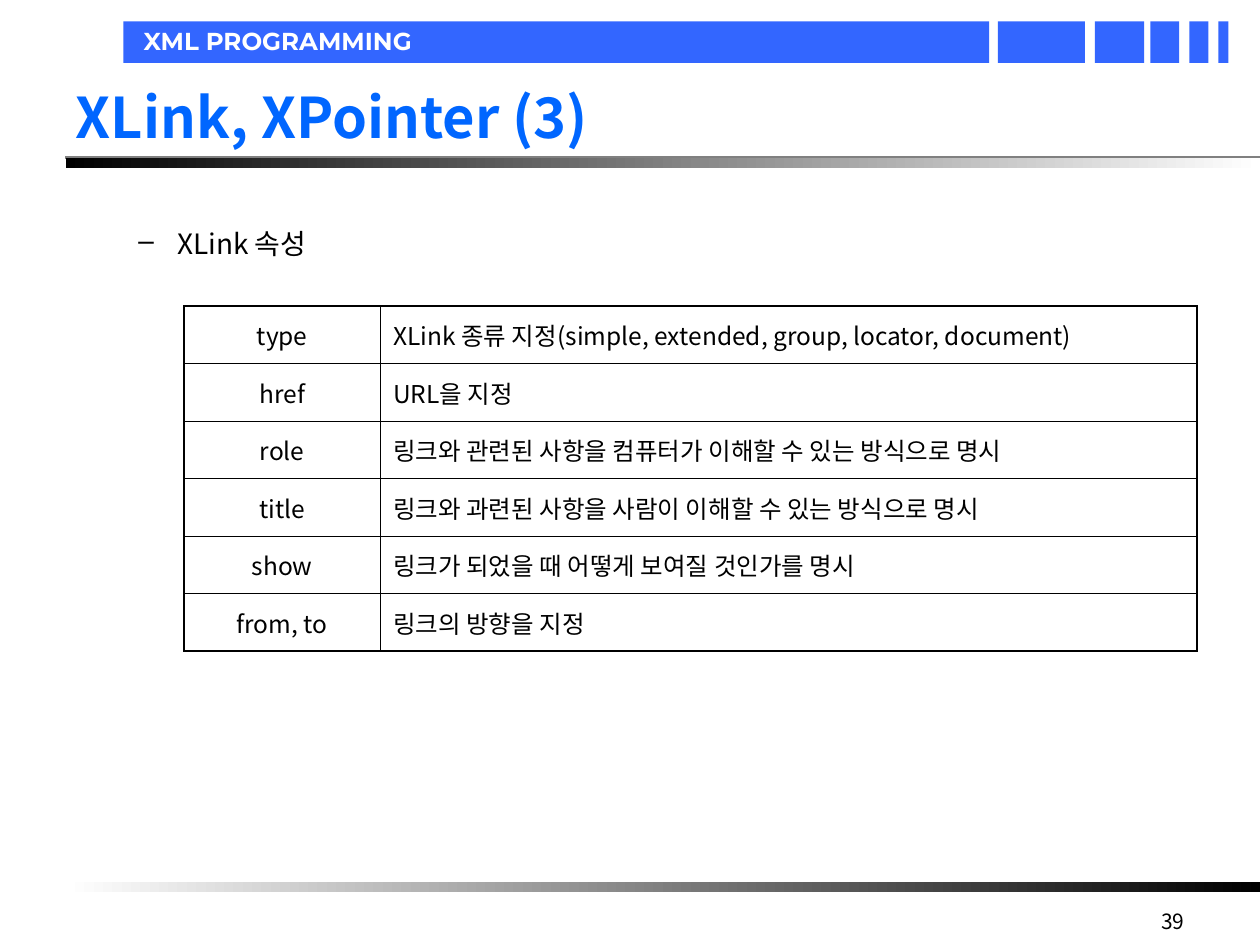
from collections import namedtuple

from lxml.etree import SubElement
from pptx import Presentation
from pptx.dml.color import RGBColor
from pptx.enum.shapes import MSO_CONNECTOR, MSO_SHAPE
from pptx.enum.text import MSO_ANCHOR, MSO_AUTO_SIZE, PP_ALIGN
from pptx.oxml import parse_xml
from pptx.oxml.ns import nsdecls, qn
from pptx.util import Inches, Pt

COLUMNS, ROWS = 100, 75
CELL = Inches(0.1)
BODY_FONT, HEADER_FONT = "Noto Sans CJK KR", "Montserrat"
BLUE, TITLE_BLUE, BLACK, WHITE, GRAY = "3366FF", "0066FF", "000000", "FFFFFF", "808080"
THICK, THIN = 1.08, 0.45

Box = namedtuple("Box", "left top width height")

HEADER_BARS = [(9.8, 68.7), (79.2, 6.9), (86.9, 3.9), (91.3, 2.3), (94.4, 1.5), (96.7, 0.8)]
ATTRIBUTES = [
    ("type", "XLink 종류 지정(simple, extended, group, locator, document)"),
    ("href", "URL을 지정"),
    ("role", "링크와 관련된 사항을 컴퓨터가 이해할 수 있는 방식으로 명시"),
    ("title", "링크와 과련된 사항을 사람이 이해할 수 있는 방식으로 명시"),
    ("show", "링크가 되었을 때 어떻게 보여질 것인가를 명시"),
    ("from, to", "링크의 방향을 지정"),
]


def grid(count):
    """Turn a number of grid cells into a length."""
    return round(count * CELL)


def place(box):
    """Turn a box in grid cells into lengths."""
    return [grid(count) for count in box]


def color(code):
    """Turn a hex string into a colour."""
    return RGBColor.from_string(code)


def write(para, text, size, code=BLACK, font=BODY_FONT, bold=False):
    """Add one formatted run to a paragraph."""
    span = para.add_run()
    span.text = text
    span.font.size = Pt(size)
    span.font.name = font
    span.font.bold = bold
    span.font.color.rgb = color(code)
    SubElement(span.font._element, qn("a:ea")).set("typeface", font)


def add_text_box(page, box, anchor=MSO_ANCHOR.TOP):
    """Add a wrapping text box and return its frame."""
    frame = page.shapes.add_textbox(*place(box)).text_frame
    frame.word_wrap = True
    frame.vertical_anchor = anchor
    return frame


def add_bar(page, box):
    """Add a rectangle without line or shadow."""
    bar = page.shapes.add_shape(MSO_SHAPE.RECTANGLE, *place(box))
    bar.shadow.inherit = False
    bar.line.fill.background()
    return bar


def add_header(page, box):
    """Draw the row of blue bars and the course name."""
    for left, width in HEADER_BARS:
        bar = add_bar(page, Box(left, box.top, width, box.height))
        bar.fill.solid()
        bar.fill.fore_color.rgb = color(BLUE)
    frame = add_text_box(page, Box(box.left + 1.6, box.top + 0.4, 50.4, 2.3), MSO_ANCHOR.MIDDLE)
    frame.margin_left = frame.margin_right = frame.margin_top = frame.margin_bottom = 0
    write(frame.paragraphs[0], "XML PROGRAMMING", 14, WHITE, HEADER_FONT, True)


def add_gradient_bar(page, box, start, end):
    """Draw a bar that fades from left to right."""
    fill = add_bar(page, box).fill
    fill.gradient()
    fill.gradient_angle = 0
    for stop, code, position in zip(fill.gradient_stops, (start, end), (0, 1)):
        stop.color.rgb = color(code)
        stop.position = position


def add_title_rule(page, box):
    """Draw the fading rule under the title with its thin upper edge."""
    left, top, width, _ = place(box)
    edge = page.shapes.add_connector(MSO_CONNECTOR.STRAIGHT, left, top, left + width, top)
    edge.line.color.rgb = color(GRAY)
    edge.line.width = Pt(1.5)
    SubElement(edge._element.spPr, qn("a:effectLst"))
    add_gradient_bar(page, box, BLACK, WHITE)


def set_title(page, box):
    """Place and format the title placeholder."""
    title = page.shapes.title
    title.left, title.top, title.width, title.height = place(box)
    frame = title.text_frame
    frame.auto_size = MSO_AUTO_SIZE.NONE
    frame.vertical_anchor = MSO_ANCHOR.MIDDLE
    para = frame.paragraphs[0]
    para.alignment = PP_ALIGN.LEFT
    write(para, "XLink, XPointer (3)", 32, TITLE_BLUE, bold=True)


def add_body(page, box):
    """Write the dashed heading above the table."""
    para = add_text_box(page, box).paragraphs[0]
    para.level = 1
    properties = para._p.get_or_add_pPr()
    properties.set("marL", str(grid(8.1)))
    properties.set("indent", str(-grid(3.1)))
    SubElement(properties, qn("a:buChar")).set("char", "–")
    write(para, "XLink 속성", 16)


def set_borders(cell, top, bottom):
    """Give a cell black borders, thick at both sides."""
    properties = cell._tc.get_or_add_tcPr()
    widths = {"lnL": THICK, "lnR": THICK, "lnT": top, "lnB": bottom}
    for index, (side, width) in enumerate(widths.items()):
        properties.insert(index, parse_xml(
            f'<a:{side} {nsdecls("a")} w="{Pt(width)}"><a:solidFill>'
            f'<a:srgbClr val="{BLACK}"/></a:solidFill></a:{side}>'))


def add_attribute_table(page, box):
    """Build the table of XLink attributes."""
    count = len(ATTRIBUTES)
    table = page.shapes.add_table(count, 2, *place(box)).table
    table.first_row = table.horz_banding = False
    table.columns[0].width = grid(15.6)
    table.columns[1].width = grid(box.width - 15.6)
    for index, texts in enumerate(ATTRIBUTES):
        table.rows[index].height = grid(box.height / count)
        top = THICK if index == 0 else THIN
        bottom = THICK if index == count - 1 else THIN
        for column, (text, align) in enumerate(zip(texts, (PP_ALIGN.CENTER, PP_ALIGN.LEFT))):
            cell = table.cell(index, column)
            cell.fill.background()
            cell.vertical_anchor = MSO_ANCHOR.MIDDLE
            set_borders(cell, top, bottom)
            para = cell.text_frame.paragraphs[0]
            para.alignment = align
            write(para, text, 14)


def add_page_number(page, box):
    """Write the page number at the lower right."""
    para = add_text_box(page, box).paragraphs[0]
    para.alignment = PP_ALIGN.RIGHT
    write(para, "39", 12)


def main():
    """Build the slide and save it."""
    deck = Presentation()
    deck.slide_width, deck.slide_height = grid(COLUMNS), grid(ROWS)
    page = deck.slides.add_slide(deck.slide_layouts[5])
    add_header(page, Box(9.8, 1.7, 87.7, 3.3))
    add_title_rule(page, Box(5.2, 12.5, 94.8, 0.8))
    add_gradient_bar(page, Box(5.2, 70, 94.8, 0.8), WHITE, BLACK)
    add_page_number(page, Box(71.7, 71.6, 23.3, 2.9))
    set_title(page, Box(5, 3, 90, 12.5))
    add_body(page, Box(5, 17.5, 90.7, 49.5))
    add_attribute_table(page, Box(14.6, 24.3, 80.4, 27.4))
    deck.save("out.pptx")


if __name__ == "__main__":
    main()
